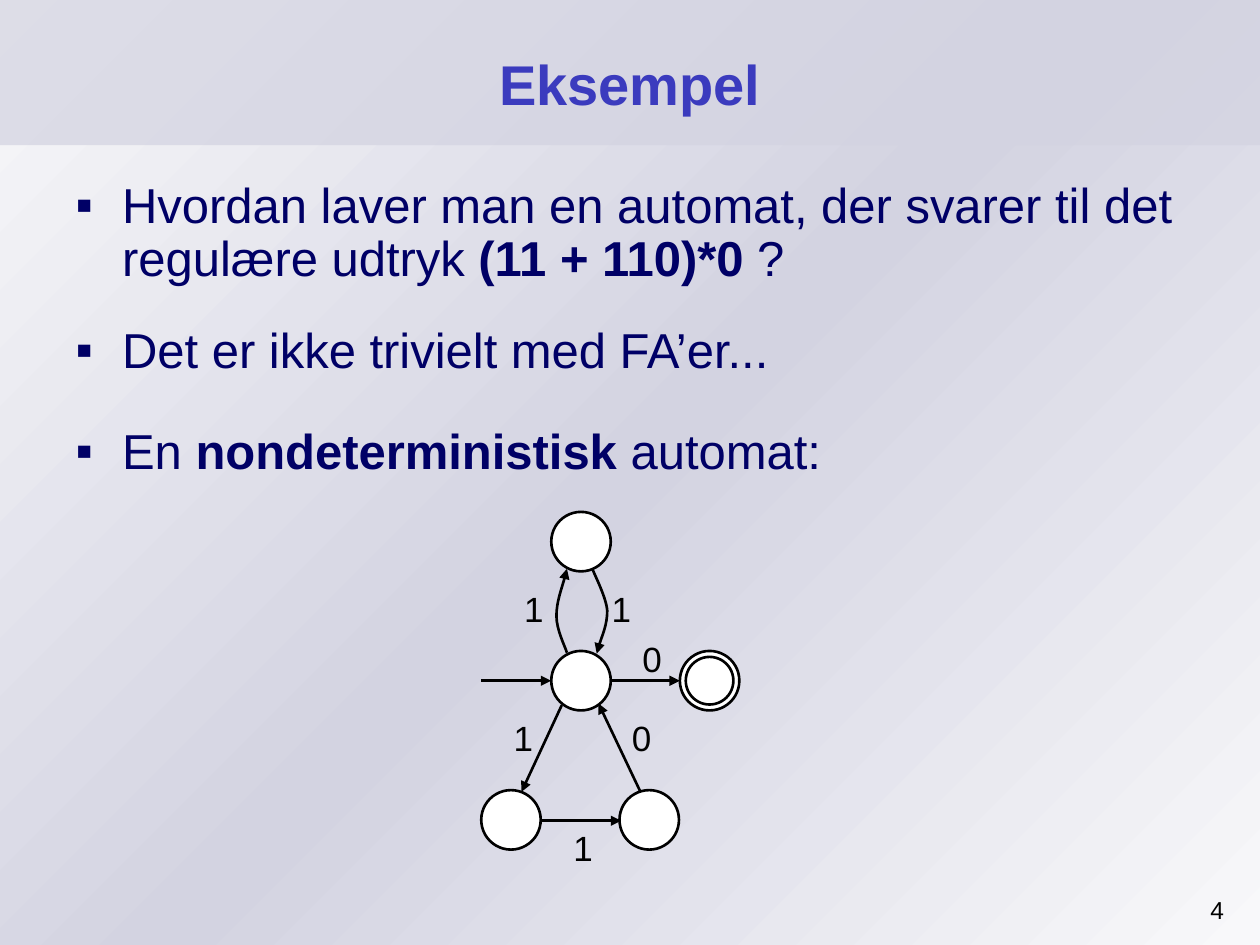
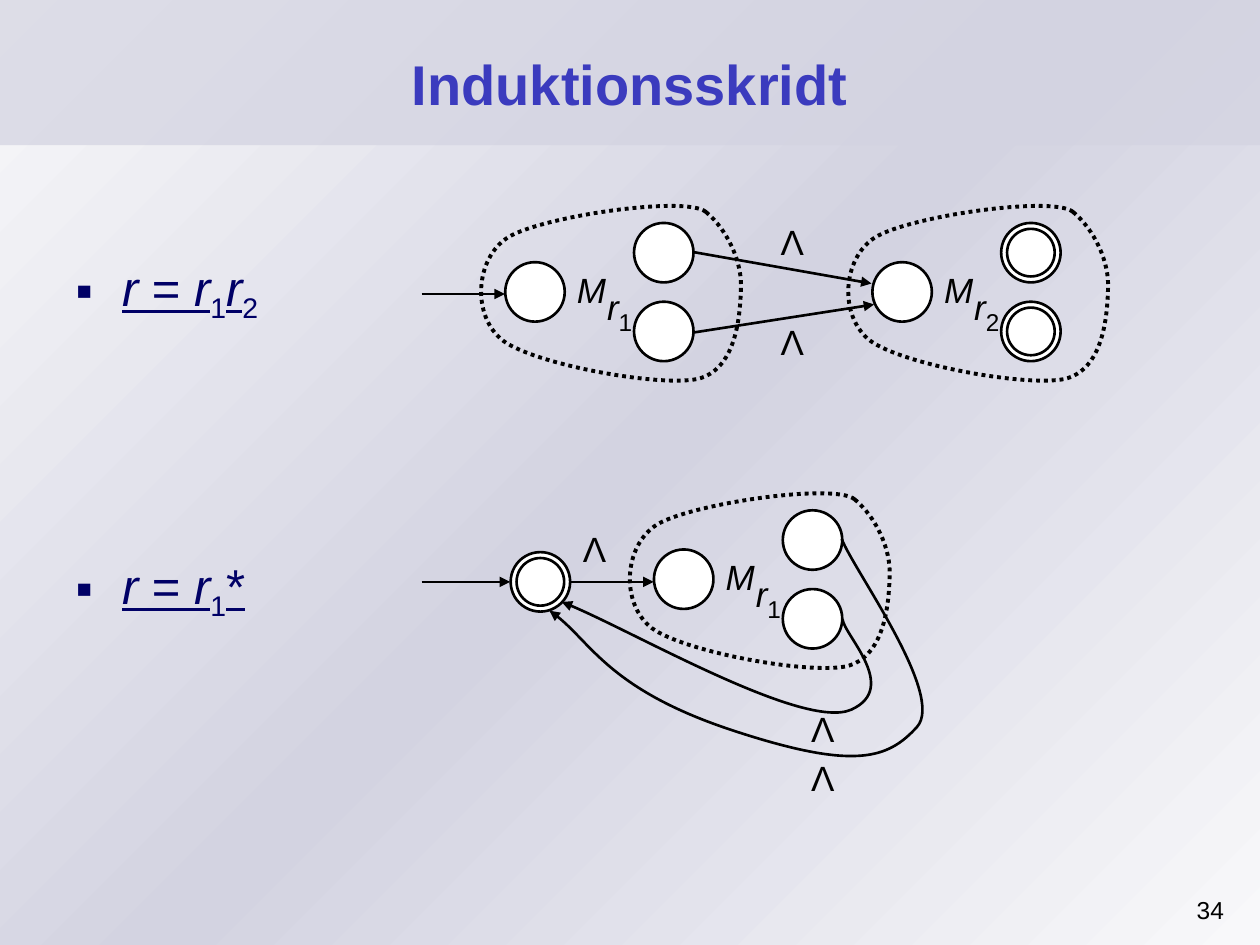
import pptx
import pptx.util
import pptx.dml.color
import pptx.enum.dml
import pptx.enum.shapes
import pptx.enum.text
import pptx.oxml
import pptx.oxml.ns
from lxml import etree

Pt = pptx.util.Pt
RGBColor = pptx.dml.color.RGBColor
SHAPE = pptx.enum.shapes.MSO_SHAPE
ALIGN = pptx.enum.text.PP_ALIGN
qn = pptx.oxml.ns.qn

TITLE_BLUE = RGBColor(0x3B, 0x3B, 0xBE)
NAVY = RGBColor(0x00, 0x00, 0x66)
BLACK = RGBColor(0, 0, 0)
WHITE = RGBColor(0xFF, 0xFF, 0xFF)
LAVENDER = RGBColor(0xD3, 0xD3, 0xE1)
PALE = RGBColor(0xF8, 0xF8, 0xFA)

STATE_SIZE = 34
RING_INSET = 3.4
HANGING = 26.6


def write(paragraph, text, size=20, color=BLACK, bold=False, italic=False,
          underline=False, subscript=False):
    run = paragraph.add_run()
    run.text = text
    run.font.name = "Arial"
    run.font.size = Pt(size)
    run.font.color.rgb = color
    run.font.bold = bold
    run.font.italic = italic
    run.font.underline = underline
    if subscript:
        run.font._element.set("baseline", "-25000")


def stroke(line_shape, width=1.5, arrow=False, dash=None):
    line_shape.line.color.rgb = BLACK
    line_shape.line.width = Pt(width)
    if dash:
        line_shape.line.dash_style = dash
    properties = line_shape._element.spPr
    if arrow:
        etree.SubElement(properties.find(qn("a:ln")), qn("a:tailEnd"), type="triangle")
    etree.SubElement(properties, qn("a:effectLst"))


prs = pptx.Presentation()
prs.slide_width, prs.slide_height = Pt(720), Pt(540)
layout = prs.slide_layouts[1]
example = prs.slides.add_slide(layout)
induction = prs.slides.add_slide(layout)

# Shared backdrop and title band, moved to the master
backdrop = example.shapes.add_shape(SHAPE.RECTANGLE, 0, 0, Pt(720), Pt(540))
band = example.shapes.add_shape(SHAPE.RECTANGLE, 0, 0, Pt(720), Pt(83))
for depth, panel in enumerate((backdrop, band)):
    panel.shadow.inherit = False
    panel.line.fill.background()
    panel.fill.solid()
    panel.fill.fore_color.rgb = LAVENDER
    prs.slide_master.shapes._spTree.insert(2 + depth, panel._element)
band_color = band._element.spPr.find(".//" + qn("a:srgbClr"))
etree.SubElement(band_color, qn("a:alpha"), val="72000")
gradient = pptx.oxml.parse_xml(
    f'<a:gradFill {pptx.oxml.ns.nsdecls("a")} rotWithShape="0"><a:gsLst>'
    + "".join(f'<a:gs pos="{pos}"><a:srgbClr val="{color}"/></a:gs>'
              for pos, color in ((0, PALE), (50000, LAVENDER), (100000, PALE)))
    + '</a:gsLst><a:lin ang="13500000" scaled="0"/></a:gradFill>')
solid = backdrop._element.spPr.find(qn("a:solidFill"))
solid.getparent().replace(solid, gradient)

# Titles and slide numbers
for slide, heading, number in ((example, "Eksempel", "4"),
                               (induction, "Induktionsskridt", "34")):
    title = slide.shapes.title
    title.left, title.top, title.width, title.height = Pt(36), Pt(12), Pt(648), Pt(71)
    title.text_frame.vertical_anchor = pptx.enum.text.MSO_ANCHOR.MIDDLE
    title.text_frame.paragraphs[0].alignment = ALIGN.CENTER
    write(title.text_frame.paragraphs[0], heading, size=32, color=TITLE_BLUE, bold=True)
    page = slide.shapes.add_textbox(Pt(649.5), Pt(508), Pt(57), Pt(28)).text_frame
    page.word_wrap = True
    page.paragraphs[0].alignment = ALIGN.RIGHT
    write(page.paragraphs[0], number, size=14)

# Bullet lists: space before, then runs with their format
STRONG = {"bold": True}
VARIABLE = {"italic": True, "underline": True}
LINED = {"underline": True}
INDEX = {"subscript": True}
questions = [
    (0, [("Hvordan laver man en automat, der svarer til det regulære udtryk ", {}),
         ("(11 + 110)*0", STRONG), (" ?", {})]),
    (22.4, [("Det er ikke trivielt med FA’er...", {})]),
    (27.5, [("En ", {}), ("nondeterministisk", STRONG), (" automat:", {})]),
]
expressions = [
    (0, [("r", VARIABLE), (" = ", LINED), ("r", VARIABLE), ("1", INDEX),
         ("r", VARIABLE), ("2", INDEX)]),
    (132, [("r", VARIABLE), (" = ", LINED), ("r", VARIABLE), ("1", INDEX),
           ("*", LINED)]),
]
for slide, bullets, width, height, inset, spacing in (
        (example, questions, 664.5, 187, 3.6, 0.9),
        (induction, expressions, 154, 402.5, 47, 1.0)):
    body = slide.placeholders[1]
    body.left, body.top, body.width, body.height = Pt(36), Pt(100), Pt(width), Pt(height)
    frame = body.text_frame
    frame.auto_size = pptx.enum.text.MSO_AUTO_SIZE.NONE
    frame.margin_top = Pt(inset)
    for position, (gap, runs) in enumerate(bullets):
        paragraph = frame.add_paragraph() if position else frame.paragraphs[0]
        layout_props = paragraph._p.get_or_add_pPr()
        layout_props.set("marL", str(Pt(HANGING)))
        layout_props.set("indent", str(-Pt(HANGING)))
        bullet_color = etree.SubElement(layout_props, qn("a:buClr"))
        etree.SubElement(bullet_color, qn("a:srgbClr"), val=str(NAVY))
        etree.SubElement(layout_props, qn("a:buFont"), typeface="Arial")
        etree.SubElement(layout_props, qn("a:buChar"), char="▪")
        paragraph.line_spacing = spacing
        paragraph.space_before = Pt(gap)
        for text, style in runs:
            write(paragraph, text, size=28, color=NAVY, **style)

# Automata: straight arrows (from x, y to x, y)
arrows = [
    (example, 275, 389, 315, 389), (example, 348.5, 389, 388.5, 389),
    (example, 321, 403, 298, 452.5), (example, 309.5, 469, 355, 469),
    (example, 366, 452.5, 342, 402),
    (induction, 241, 168, 288.5, 168), (induction, 396, 144, 498, 162),
    (induction, 396.5, 190, 499.5, 174), (induction, 326, 332.5, 373.5, 332.5),
    (induction, 241, 332.5, 291.5, 332.5),
]
# Curved arrows: start point, then two control points and an end per segment
curves = [
    (example, [(324, 373), (323, 369.5), (318, 360), (318, 352),
               (318, 344), (323, 330.5), (324, 325)], True),
    (example, [(338.5, 325), (340, 329), (346.5, 341.5), (347, 349),
               (347, 357), (342, 368.5), (341, 373.5)], True),
    (induction, [(481, 308), (488, 326), (540.5, 397.5), (524, 415.5),
                 (507.5, 433.5), (489, 440.5), (419, 417.5),
                 (349, 394.5), (336, 363.5), (314, 349)], True),
    (induction, [(481.5, 354), (482.5, 363), (514, 393), (486.5, 405.5),
                 (459.5, 417.5), (355.5, 357), (321, 344)], True),
]
# States: left, top, accepting
states = [
    (example, 315, 292.5, False), (example, 315, 372, False),
    (example, 388.5, 372, True), (example, 275, 451.5, False),
    (example, 354, 451.5, False), (induction, 291.8, 315.5, True),
]
# Labels: left, top, width, runs
labels = [(example, left, top, 25, [(symbol, {})]) for symbol, left, top in (
    ("1", 292.5, 332), ("1", 342.5, 332), ("0", 360, 361),
    ("1", 286.5, 406), ("0", 354, 406), ("1", 320.5, 468.5))]
labels += [(induction, left, top, 28, [("Λ", {})]) for left, top in (
    (439, 122.5), (439, 179.5), (326, 298), (456.5, 400.5), (456.5, 428.5))]

# Submachines: one dotted outline with three states and a name
MACHINE_OUTLINE = [
    (134, 9.5), (122.5, 0), (40.5, 12), (21, 24), (2, 36), (0, 69), (18, 83),
    (36, 96.5), (106, 109.5), (129, 105), (151, 100), (153.5, 70), (154, 54),
    (155, 38), (146, 19.5), (134, 9.5)]
for left, top, index, accepting in ((269.4, 111.6, "1", False),
                                    (479.2, 111.6, "2", True),
                                    (354.4, 275.8, "1", False)):
    curves.append((induction, [(left + x, top + y) for x, y in MACHINE_OUTLINE], False))
    states.append((induction, left + 19.3, top + 38.2, False))
    for end_top in (15.8, 60.8):
        states.append((induction, left + 92.9, top + end_top, accepting))
    labels.append((induction, left + 53.2, top + 38.2, 31, [("M", {"italic": True})]))
    labels.append((induction, left + 70.4, top + 44, 29,
                   [("r", {"italic": True}), (index, {"size": 24, "subscript": True})]))

# Drawing, from back to front
for slide, *ends in arrows:
    arrow = slide.shapes.add_connector(
        pptx.enum.shapes.MSO_CONNECTOR.STRAIGHT, *map(Pt, ends))
    stroke(arrow, arrow=True)

for slide, left, top, accepting in states:
    for inset in (0, RING_INSET) if accepting else (0,):
        size = Pt(STATE_SIZE - 2 * inset)
        state = slide.shapes.add_shape(
            SHAPE.OVAL, Pt(left + inset), Pt(top + inset), size, size)
        state.fill.solid()
        state.fill.fore_color.rgb = WHITE
        stroke(state)

for slide, points, is_arrow in curves:
    start, *rest = [(Pt(x), Pt(y)) for x, y in points]
    builder = slide.shapes.build_freeform(*start)
    builder.add_line_segments(rest, close=not is_arrow)
    curve = builder.convert_to_shape()
    corners = curve._element.findall(".//" + qn("a:lnTo"))
    # Every three points become one Bézier segment
    for first in range(0, len(rest), 3):
        bezier = etree.Element(qn("a:cubicBezTo"))
        corners[first].addprevious(bezier)
        for corner in corners[first:first + 3]:
            bezier.append(corner[0])
            corner.getparent().remove(corner)
    curve.fill.background()
    if is_arrow:
        stroke(curve, arrow=True)
    else:
        stroke(curve, width=2.25, dash=pptx.enum.dml.MSO_LINE.ROUND_DOT)

for slide, left, top, width, runs in labels:
    label = slide.shapes.add_textbox(Pt(left), Pt(top), Pt(width), Pt(31.5)).text_frame
    label.word_wrap = False
    for text, style in runs:
        write(label.paragraphs[0], text, **style)

prs.save("out.pptx")
